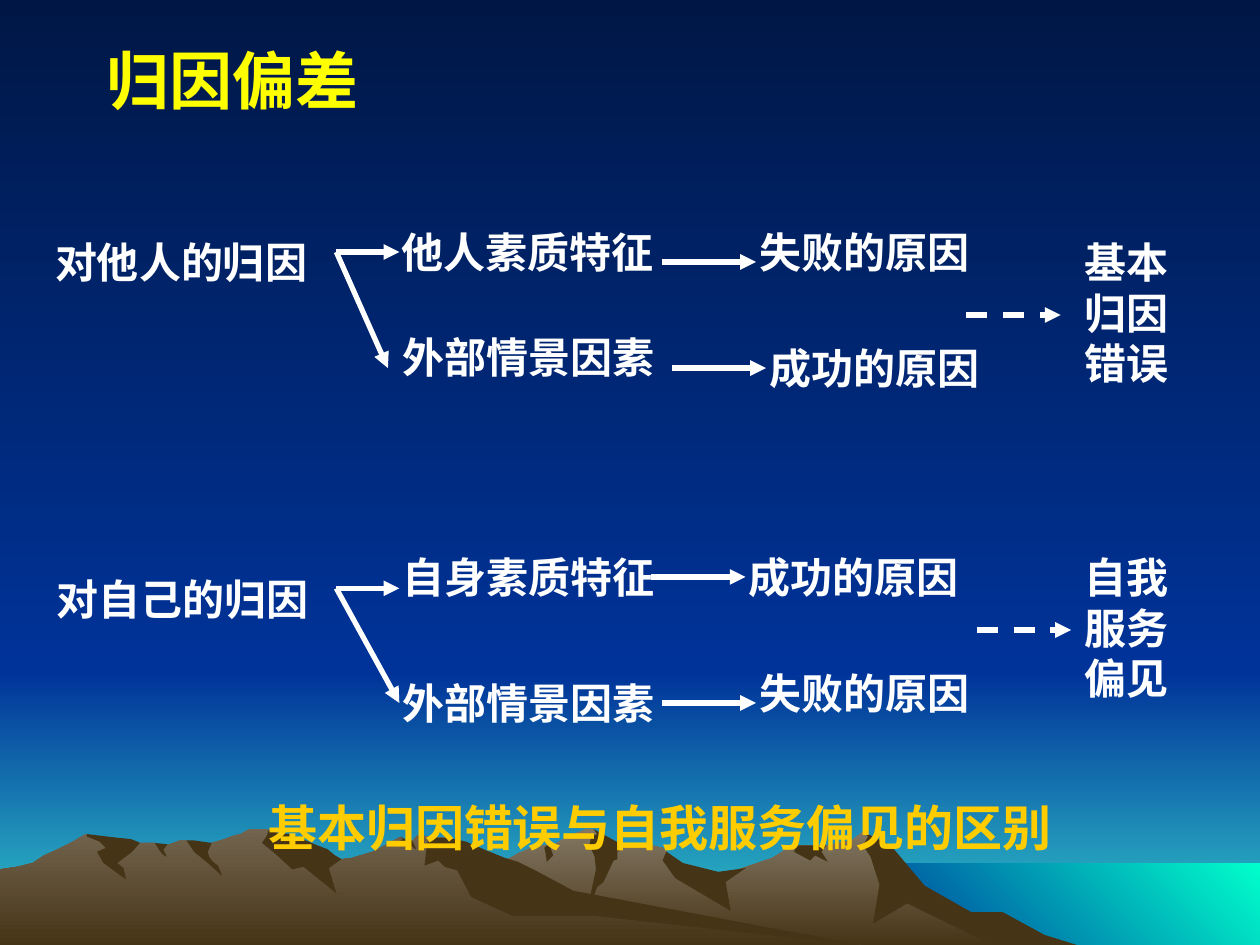
from dataclasses import dataclass

from lxml import etree
from pptx import Presentation
from pptx.dml.color import RGBColor
from pptx.enum.dml import MSO_LINE
from pptx.enum.shapes import MSO_CONNECTOR
from pptx.enum.text import MSO_ANCHOR, MSO_AUTO_SIZE
from pptx.oxml.ns import qn
from pptx.util import Cm, Pt


@dataclass(frozen=True)
class Theme:
    font: str = "Times New Roman"
    title_size: int = 36
    caption_size: int = 28
    label_size: int = 24
    line_width: int = 3
    white: str = "FFFFFF"
    yellow: str = "FFFF00"
    gold: str = "FFCC00"
    sky: tuple = ("001746", "003399")
    horizon: tuple = ("003399", "33CCCC")
    water: tuple = ("00FFCC", "003399")
    far_ridge: tuple = ("837763", "463416")
    near_ridge: tuple = ("72644E", "463416")
    shade: tuple = ("463416",)


THEME = Theme()
GRID = Cm(2.54) / 100  # landscape outlines: 1000 by 750 units on the slide


def write_text(frame, text, *, size, color, wrap=False, anchor=MSO_ANCHOR.TOP):
    frame.word_wrap = wrap
    frame.auto_size = MSO_AUTO_SIZE.NONE if wrap else MSO_AUTO_SIZE.SHAPE_TO_FIT_TEXT
    frame.vertical_anchor = anchor
    frame.text = text
    for paragraph in frame.paragraphs:
        font = paragraph.runs[0].font
        font.name, font.size, font.bold = THEME.font, Pt(size), True
        font.color.rgb = RGBColor.from_string(color)


def paint(fill, colors, angle=90):
    """Solid for one colour, gradient (clockwise angle) for two."""
    if len(colors) == 1:
        fill.solid()
        fill.fore_color.rgb = RGBColor.from_string(colors[0])
        return
    fill.gradient()
    fill.gradient_angle = 360 - angle
    for stop, color in zip(fill.gradient_stops, colors):
        stop.color.rgb = RGBColor.from_string(color)


class SlideBuilder:
    def __init__(self, slide, theme):
        self.slide, self.theme = slide, theme

    def outline(self, points, colors, angle=90):
        start, *rest = [tuple(map(int, pair.split(","))) for pair in points.split()]
        builder = self.slide.shapes.build_freeform(*start, scale=GRID)
        builder.add_line_segments(rest, close=True)
        shape = builder.convert_to_shape()
        shape.shadow.inherit = False
        shape.line.fill.background()
        paint(shape.fill, colors, angle)

    def label(self, text, left, top, size=None, color=None):
        size = size or self.theme.label_size
        lines = text.split("\n")
        width = max(map(len, lines)) * size * 2.54 / 72 + 0.51
        height = len(lines) * size * 1.2 * 2.54 / 72 + 0.25
        box = self.slide.shapes.add_textbox(Cm(left), Cm(top), Cm(width), Cm(height))
        write_text(box.text_frame, text, size=size, color=color or self.theme.white)

    def title(self, text):
        box = self.slide.shapes.add_textbox(Cm(1.9), Cm(0), Cm(21.6), Cm(3.18))
        write_text(box.text_frame, text, size=self.theme.title_size,
                   color=self.theme.yellow, wrap=True, anchor=MSO_ANCHOR.MIDDLE)

    def arrow(self, x1, y1, x2, y2, dashed=False):
        connector = self.slide.shapes.add_connector(
            MSO_CONNECTOR.STRAIGHT, Cm(x1), Cm(y1), Cm(x2), Cm(y2))
        line = connector.line
        line.width = Pt(self.theme.line_width)
        line.color.rgb = RGBColor.from_string(self.theme.white)
        if dashed:
            line.dash_style = MSO_LINE.DASH
        properties = connector._element.spPr
        etree.SubElement(properties.find(qn("a:ln")), qn("a:tailEnd"), type="triangle")
        etree.SubElement(properties, qn("a:effectLst"))


# Sky and water: outline, colours, gradient angle
BACKDROP = [
    ("0,533 1000,533 1000,750 0,750", THEME.horizon, 90),
    ("0,0 1000,0 1000,533 0,533", THEME.sky, 90),
    ("683,685 1000,685 1000,750 683,750", THEME.water, 135),
]

# Ridges, each followed by its shaded faces
FAR_RIDGE = (
    "802,740 778,727 764,723 723,698 702,671 685,660 676,667 656,671 629,671 613,681 "
    "566,697 536,690 529,676 526,673 509,669 497,671 486,673 474,661 471,658 465,658 "
    "450,664 444,668 438,671 430,671 424,672 412,677 405,681 394,685 355,698 327,709 "
    "277,739 258,751 821,751")
FAR_SHADES = [
    "796,724 771,724 734,703 707,671 685,660 689,664 685,671 691,680 698,702 693,733 "
    "720,717 792,752 858,751 829,742",
    "471,658 474,662 469,664 468,671 472,680 473,690 465,727 474,704 479,700 487,683 "
    "490,682 490,676 497,671 493,670",
    "529,676 528,678 526,683 536,697 580,723 576,700 592,689 570,692 542,685",
    "650,671 630,671 631,672 631,675 630,676 643,683 647,679 657,684 652,676 656,671",
    "433,677 432,673 434,671 438,671 439,670 437,673 439,679 434,684",
]
NEAR_RIDGE = (
    "690,751 667,748 432,712 354,665 331,663 327,668 323,668 318,664 296,676 279,681 "
    "271,682 260,676 236,681 223,663 219,660 212,658 198,658 194,660 191,662 186,663 "
    "178,666 168,669 160,671 148,667 143,667 132,671 128,671 123,669 111,669 94,671 "
    "68,662 56,669 50,672 46,674 35,679 26,685 14,688 0,690 0,751")
NEAR_SHADES = [
    "212,663 208,669 219,678 232,690 241,688 267,709 261,689 271,682 266,679 260,674 "
    "252,671 238,665 230,662 220,661 213,659",
    "370,668 361,666 354,665 344,665 339,669 337,687 348,683 353,688 363,691 374,712 "
    "407,727 472,727 690,751 683,750 455,707 427,692 411,684 401,681 386,675",
    "318,667 320,666 318,664 323,667 327,667 330,673 330,674 326,671 322,669 322,670 "
    "319,672",
    "154,667 161,668 168,669 165,676 166,680 169,684 173,687 176,694 176,695 165,685 "
    "154,676 148,667",
    "133,670 130,674 130,675 132,679 132,680 129,678 126,674 123,669",
    "109,668 111,669 105,676 93,685 98,689 100,698 82,685 77,676 84,673 79,668 69,664 "
    "69,662 77,663 94,665 104,666",
]

# Diagram in centimetres: text, left, top
LABELS = [
    ("对他人的归因", 0.86, 4.65), ("对自己的归因", 0.89, 11.43),
    ("他人素质特征", 7.85, 4.45), ("外部情景因素", 7.87, 6.55),
    ("自身素质特征", 7.87, 11), ("外部情景因素", 7.87, 13.54),
    ("失败的原因", 15.06, 4.45), ("成功的原因", 15.27, 6.78),
    ("成功的原因", 14.83, 11), ("失败的原因", 15.06, 13.34),
    ("基本\n归因\n错误", 21.62, 4.65), ("自我\n服务\n偏见", 21.62, 11),
]
FORK_X = 6.78
FORKS = [(5.08, 7.82, 7.42), (11.86, 8.05, 14.17)]  # start y, lower end x and y
STEP = 1.9  # length of the level arrows
CAUSE_ARROWS = [(13.34, 5.28), (13.54, 7.42), (13.13, 11.63), (13.34, 14.17)]
RESULT_ARROWS = [(19.48, 6.35), (19.69, 12.7)]


def main():
    presentation = Presentation()
    presentation.slide_width, presentation.slide_height = Cm(25.4), Cm(19.05)
    slide = presentation.slides.add_slide(presentation.slide_layouts[6])
    paint(slide.background.fill, THEME.sky)
    builder = SlideBuilder(slide, THEME)

    # Landscape
    for points, colors, angle in BACKDROP:
        builder.outline(points, colors, angle)
    for ridge, colors, shades in ((FAR_RIDGE, THEME.far_ridge, FAR_SHADES),
                                  (NEAR_RIDGE, THEME.near_ridge, NEAR_SHADES)):
        builder.outline(ridge, colors)
        for points in shades:
            builder.outline(points, THEME.shade)

    # Labels
    for text, left, top in LABELS:
        builder.label(text, left, top)

    # Arrows
    for y, lower_x, lower_y in FORKS:
        builder.arrow(FORK_X, y, 8.05, y)
        builder.arrow(FORK_X, y, lower_x, lower_y)
    for arrows, dashed in ((CAUSE_ARROWS, False), (RESULT_ARROWS, True)):
        for x, y in arrows:
            builder.arrow(x, y, x + STEP, y, dashed)

    # Caption and title
    builder.label("基本归因错误与自我服务偏见的区别", 5.16, 15.95,
                  THEME.caption_size, THEME.gold)
    builder.title("归因偏差")

    presentation.save("out.pptx")


if __name__ == "__main__":
    main()
